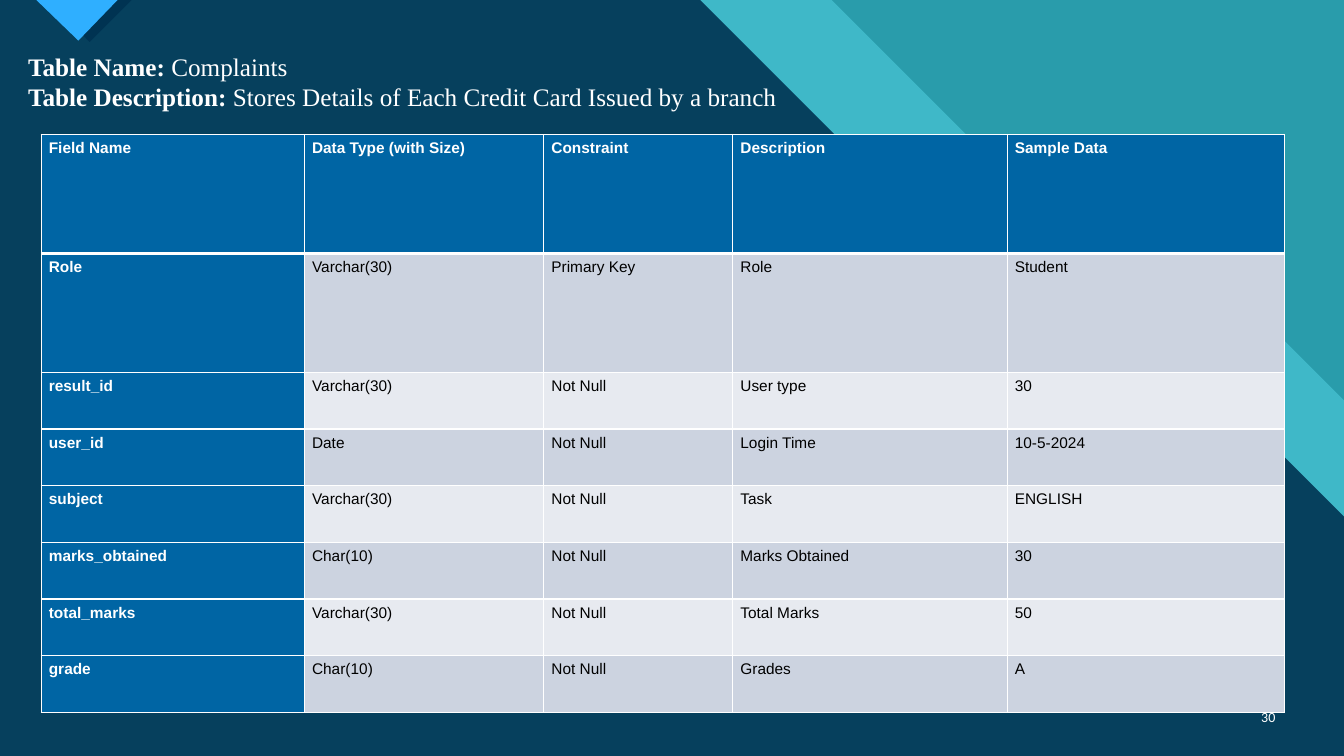
from lxml.etree import SubElement
from pptx import Presentation
from pptx.dml.color import RGBColor
from pptx.enum.shapes import MSO_SHAPE
from pptx.enum.text import MSO_ANCHOR, PP_ALIGN
from pptx.oxml.ns import qn
from pptx.util import Pt

WIDTH, HEIGHT = 960, 540
COLORS = {
    "teal": "299CAB", "aqua": "47C3D3", "navy": "003352", "sky": "2FAFFF",
    "header": "0065A4", "band": "CCD3E0", "light": "E7EAF0",
    "white": "FFFFFF", "black": "000000",
}
FIELDS = [
    ["Field Name", "Data Type (with Size)", "Constraint", "Description", "Sample Data"],
    ["Role", "Varchar(30)", "Primary Key", "Role", "Student"],
    ["result_id", "Varchar(30)", "Not Null", "User type", "30"],
    ["user_id", "Date", "Not Null", "Login Time", "10-5-2024"],
    ["subject", "Varchar(30)", "Not Null", "Task", "ENGLISH"],
    ["marks_obtained", "Char(10)", "Not Null", "Marks Obtained", "30"],
    ["total_marks", "Varchar(30)", "Not Null", "Total Marks", "50"],
    ["grade", "Char(10)", "Not Null", "Grades", "A"],
]
COLUMN_WIDTHS = [188, 171, 135, 196, 198]
ROW_HEIGHTS = [85] * 2 + [40.5] * 6


class SlideBuilder:
    def __init__(self, slide):
        self.slide = slide

    def color(self, name):
        return RGBColor.from_string(COLORS[name])

    def paint(self, shape, color, opacity=100):
        shape.shadow.inherit = False
        shape.line.fill.background()
        shape.fill.solid()
        shape.fill.fore_color.rgb = self.color(color)
        if opacity < 100:
            tint = shape.fill._xPr.find(qn("a:solidFill"))[0]
            SubElement(tint, qn("a:alpha"), val=str(opacity * 1000))

    def rectangle(self, left, top, width, height, color):
        shape = self.slide.shapes.add_shape(
            MSO_SHAPE.RECTANGLE, Pt(left), Pt(top), Pt(width), Pt(height))
        self.paint(shape, color)

    def polygon(self, points, color, opacity=100):
        builder = self.slide.shapes.build_freeform(*points[0], scale=Pt(1))
        builder.add_line_segments(points[1:], close=True)
        self.paint(builder.convert_to_shape(), color, opacity)

    def run(self, paragraph, text, size, font, color, bold=False):
        run = paragraph.add_run()
        run.text = text
        run.font.size = Pt(size)
        run.font.name = font
        run.font.bold = bold
        run.font.color.rgb = self.color(color)

    def text(self, left, top, width, height, lines, size, font,
             anchor=MSO_ANCHOR.TOP, align=PP_ALIGN.LEFT, inset=3.6):
        shape = self.slide.shapes.add_textbox(Pt(left), Pt(top), Pt(width), Pt(height))
        frame = shape.text_frame
        frame.word_wrap = True
        frame.vertical_anchor = anchor
        frame.margin_top = Pt(inset)
        for index, runs in enumerate(lines):
            paragraph = frame.add_paragraph() if index else frame.paragraphs[0]
            paragraph.alignment = align
            for words, bold in runs:
                self.run(paragraph, words, size, font, "white", bold)

    def border(self, cell, side, width):
        line = SubElement(cell._tc.get_or_add_tcPr(), qn(f"a:ln{side}"), w=str(Pt(width)))
        fill = SubElement(line, qn("a:solidFill"))
        SubElement(fill, qn("a:srgbClr"), val=COLORS["white"])

    def cell(self, cell, text, row, column):
        heading = row == 0 or column == 0
        cell.margin_left = cell.margin_right = Pt(5.4)
        cell.margin_top = cell.margin_bottom = 0
        # A thicker rule parts the header from the body
        widths = {"L": 1, "R": 1, "T": 3 if row == 1 else 1, "B": 3 if row == 0 else 1}
        for side, width in widths.items():
            self.border(cell, side, width)
        cell.fill.solid()
        cell.fill.fore_color.rgb = self.color(
            "header" if heading else "band" if row % 2 else "light")
        paragraph = cell.text_frame.paragraphs[0]
        paragraph.line_spacing = 1.3
        paragraph.space_after = Pt(8)
        self.run(paragraph, text, 11, "Arial", "white" if heading else "black", heading)

    def table(self, left, top, widths, heights, rows):
        table = self.slide.shapes.add_table(
            len(rows), len(widths), Pt(left), Pt(top),
            Pt(sum(widths)), Pt(sum(heights))).table
        table.horz_banding = False
        for column, width in zip(table.columns, widths):
            column.width = Pt(width)
        for row, height in zip(table.rows, heights):
            row.height = Pt(height)
        for row, values in enumerate(rows):
            for column, text in enumerate(values):
                self.cell(table.cell(row, column), text, row, column)


def main():
    presentation = Presentation()
    presentation.slide_width, presentation.slide_height = Pt(WIDTH), Pt(HEIGHT)
    slide = presentation.slides.add_slide(presentation.slide_layouts[6])
    builder = SlideBuilder(slide)

    # Background with diagonal bands
    builder.rectangle(0, 0, WIDTH, HEIGHT, "teal")
    builder.polygon([(0, 0), (594, 0), (808, 214), (888.5, 214), (WIDTH, 285.5),
                     (WIDTH, HEIGHT), (0, HEIGHT)], "aqua", 74)
    builder.polygon([(0, 0), (500, 0), (714, 214), (805, 214), (WIDTH, 369),
                     (WIDTH, HEIGHT), (0, HEIGHT)], "navy", 90)

    # Corner marker and its dark shade
    builder.polygon([(94, 0), (64.5, 29.5), (35, 0)], "navy")
    builder.polygon([(26.5, 0), (55.5, 29), (84.5, 0)], "sky")

    # Page number and heading
    builder.text(886.5, 497.5, 31.5, 28.8, [[("30", False)]], 10, "Calibri",
                 MSO_ANCHOR.MIDDLE, PP_ALIGN.RIGHT)
    builder.text(13, 31, 554.5, 72.5, [
        [("Table Name:", True), (" Complaints", False)],
        [("Table Description:", True),
         (" Stores Details of Each Credit Card Issued by a branch", False)],
    ], 18, "Times New Roman", inset=5.4)

    # Field table
    builder.table(29.5, 96, COLUMN_WIDTHS, ROW_HEIGHTS, FIELDS)

    presentation.save("out.pptx")


if __name__ == "__main__":
    main()
